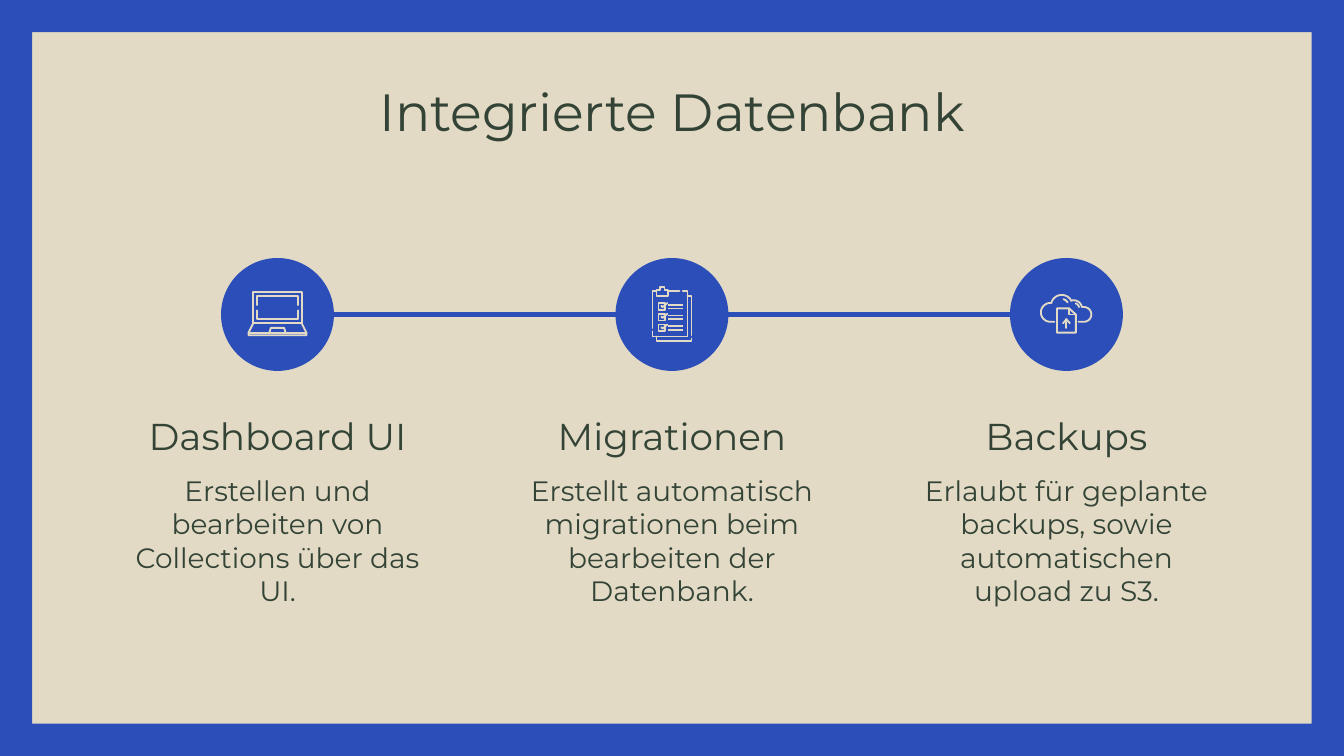
from math import cos, radians, sin

from lxml.etree import SubElement
from pptx import Presentation
from pptx.dml.color import RGBColor
from pptx.enum.shapes import MSO_CONNECTOR, MSO_SHAPE
from pptx.enum.text import MSO_ANCHOR, PP_ALIGN
from pptx.oxml.ns import qn
from pptx.util import Inches, Pt

BLUE, SAND, GREEN = "2C4EB8", "E3DAC5", "334436"
WIDTH = 10
HEIGHT = WIDTH * 9 / 16
BORDER = 0.24
MARGIN = 0.79
COLUMN = 2.55
PITCH = (WIDTH - 2 * MARGIN - COLUMN) / 2
DISC = 0.84
AXIS = 2.34
ICON_UNIT = 0.01

FRAME_FORMAT = {"word_wrap": True, "margin_left": Inches(0.1), "margin_right": Inches(0.1),
                "margin_top": Inches(0.1), "margin_bottom": Inches(0.1)}

TOPICS = [
    ("Dashboard UI", "Erstellen und bearbeiten von Collections über das UI."),
    ("Migrationen", "Erstellt automatisch migrationen beim bearbeiten der Datenbank."),
    ("Backups", "Erlaubt für geplante backups, sowie automatischen upload zu S3."),
]


def colour(target, value):
    if hasattr(target, "solid"):
        target.solid()
    getattr(target, "fore_color", target).rgb = RGBColor.from_string(value)


def apply(target, values):
    for attribute, value in values.items():
        setattr(target, attribute, value)


def closed(*points):
    return [*points, points[0]]


def rectangle(left, top, right, bottom):
    return closed((left, top), (right, top), (right, bottom), (left, bottom))


def arc(x, y, radius, start, end, steps=16):
    angles = [radians(start + (end - start) * step / steps) for step in range(steps + 1)]
    return [(x + radius * cos(a), y + radius * sin(a)) for a in angles]


def laptop():
    case = [
        rectangle(-18, -16.5, 18, 6.5),
        [(-18, 6.5), (-21.5, 13.5), (-21.5, 15.5), (21.5, 15.5), (21.5, 13.5), (18, 6.5)],
        [(-21.5, 13.5), (21.5, 13.5)],
        [(-6, 13.5), (-5, 10), (5, 10), (6, 13.5)],
    ]
    lower_screen = [[(-15, -3), (-15, 3.5), (15, 3.5), (15, -3)]]
    upper_screen = [[(-15, -7), (-15, -14), (15, -14), (15, -7)]]
    return [case, lower_screen, upper_screen], []


def checklist():
    sheets = [
        [(8, -17.5), (11.5, -17.5), (11.5, 16.5), (-14.5, 16.5), (-14.5, 12.5)],
        [(-11.5, 16.5), (-11.5, 19.5), (14.5, 19.5), (14.5, 18)],
        [(14.5, 15.5), (14.5, -13.5), (11.5, -13.5)],
    ]
    clip = [
        [(-14.5, 10), (-14.5, -17.5), (-11.5, -17.5)],
        [(-3, -17.5), (5.5, -17.5)],
        closed((-11.5, -14), (-3, -14), (-3, -18), (-5.5, -18),
               (-5.5, -20.5), (-9, -20.5), (-9, -18), (-11.5, -18)),
    ]
    rows = (-6, 2, 10)
    boxes = [[rectangle(-10, y - 2.5, -5, y + 2.5),
              [(-8, y - 0.5), (-7, y + 0.5), (-3.5, y - 2.5)]] for y in rows]
    bars = [[rectangle(-3, y - 0.65, 8, y + 0.65)]
            for row in rows for y in (row - 1.2, row + 1.5)]
    return [sheets, clip, *boxes], bars


def cloud_upload():
    cloud = [[(-9, 5.5), *arc(-12, -1.5, 7, 90, 270), *arc(-3.5, -6.5, 8, 194, 330),
              *arc(5.5, -4.5, 6, 250, 350), *arc(13, 0, 5.5, 270, 450), (9, 5.5)]]
    document = [closed((-7, -4.5), (2, -4.5), (7, 0), (7, 13.5), (-7, 13.5)),
                [(2, -4.5), (2, 0), (7, 0)]]
    arrow = [[(0, 10), (0, 3.5)], [(-2.5, 6.5), (0, 3.5), (2.5, 6.5)]]
    glints = [[arc(-3.5, -6.5, 5, 285, 330)], [arc(5.5, -4.5, 4, 290, 345)]]
    return [cloud, document, arrow, *glints], []


def outline_shape(shapes, contours):
    contours = [[(Inches(x), Inches(y)) for x, y in contour] for contour in contours]
    builder = shapes.build_freeform(*contours[0][0], scale=1.0)
    for index, (start, *rest) in enumerate(contours):
        if index:
            builder.move_to(*start)
        builder.add_line_segments(rest, close=False)
    shape = builder.convert_to_shape()
    shape.shadow.inherit = False
    return shape


def fill_only(shape, value):
    colour(shape.fill, value)
    shape.line.fill.background()


def add_border(slide):
    outer = rectangle(0, 0, WIDTH, HEIGHT)
    inner = rectangle(BORDER, BORDER, WIDTH - BORDER, HEIGHT - BORDER)
    fill_only(outline_shape(slide.shapes, [outer, inner[::-1]]), BLUE)


def add_icon(slide, center, drawn, filled):
    icon = slide.shapes.add_group_shape()

    def add_part(contours):
        return outline_shape(icon.shapes, [[(center + x * ICON_UNIT, AXIS + y * ICON_UNIT)
                                            for x, y in contour] for contour in contours])

    for strokes in drawn:
        part = add_part(strokes)
        part.fill.background()
        colour(part.line.fill, SAND)
        part.line.width = Pt(1)
        stroke_style = part.line._get_or_add_ln()
        stroke_style.set("cap", "rnd")
        SubElement(stroke_style, qn("a:round"))
    for bar in filled:
        fill_only(add_part(bar), SAND)


def add_disc(slide, center):
    disc = slide.shapes.add_shape(MSO_SHAPE.OVAL, Inches(center - DISC / 2),
                                  Inches(AXIS - DISC / 2), Inches(DISC), Inches(DISC))
    disc.shadow.inherit = False
    fill_only(disc, BLUE)


def add_link(slide, left, right):
    link = slide.shapes.add_connector(MSO_CONNECTOR.STRAIGHT, Inches(left), Inches(AXIS),
                                      Inches(right), Inches(AXIS))
    colour(link.line.fill, BLUE)
    link.line.width = Pt(3)
    SubElement(link._element.spPr, qn("a:effectLst"))


def add_text(slide, wording, box, size, anchor=MSO_ANCHOR.TOP):
    frame = slide.shapes.add_textbox(*map(Inches, box)).text_frame
    apply(frame, {**FRAME_FORMAT, "vertical_anchor": anchor})
    paragraph = frame.paragraphs[0]
    apply(paragraph, {"text": wording, "alignment": PP_ALIGN.CENTER})
    font = paragraph.runs[0].font
    apply(font, {"name": "Montserrat", "size": Pt(size)})
    colour(font.color, GREEN)


def main():
    deck = Presentation()
    apply(deck, {"slide_width": Inches(WIDTH), "slide_height": Inches(HEIGHT)})
    slide = deck.slides.add_slide(deck.slide_layouts[6])
    colour(slide.background.fill, SAND)

    add_border(slide)
    add_text(slide, "Integrierte Datenbank", (MARGIN, 0.49, WIDTH - 2 * MARGIN, 0.63), 28)
    icons = (laptop, checklist, cloud_upload)
    for column, ((heading, description), icon) in enumerate(zip(TOPICS, icons)):
        left = MARGIN + column * PITCH
        center = left + COLUMN / 2
        add_text(slide, heading, (left, 2.95, COLUMN, 0.58), 20, MSO_ANCHOR.MIDDLE)
        add_text(slide, description, (left, 3.42, COLUMN, 1.19), 15)
        add_disc(slide, center)
        add_icon(slide, center, *icon())
        if column:
            add_link(slide, center - PITCH + DISC / 2, center - DISC / 2)
    deck.save("out.pptx")


if __name__ == "__main__":
    main()
